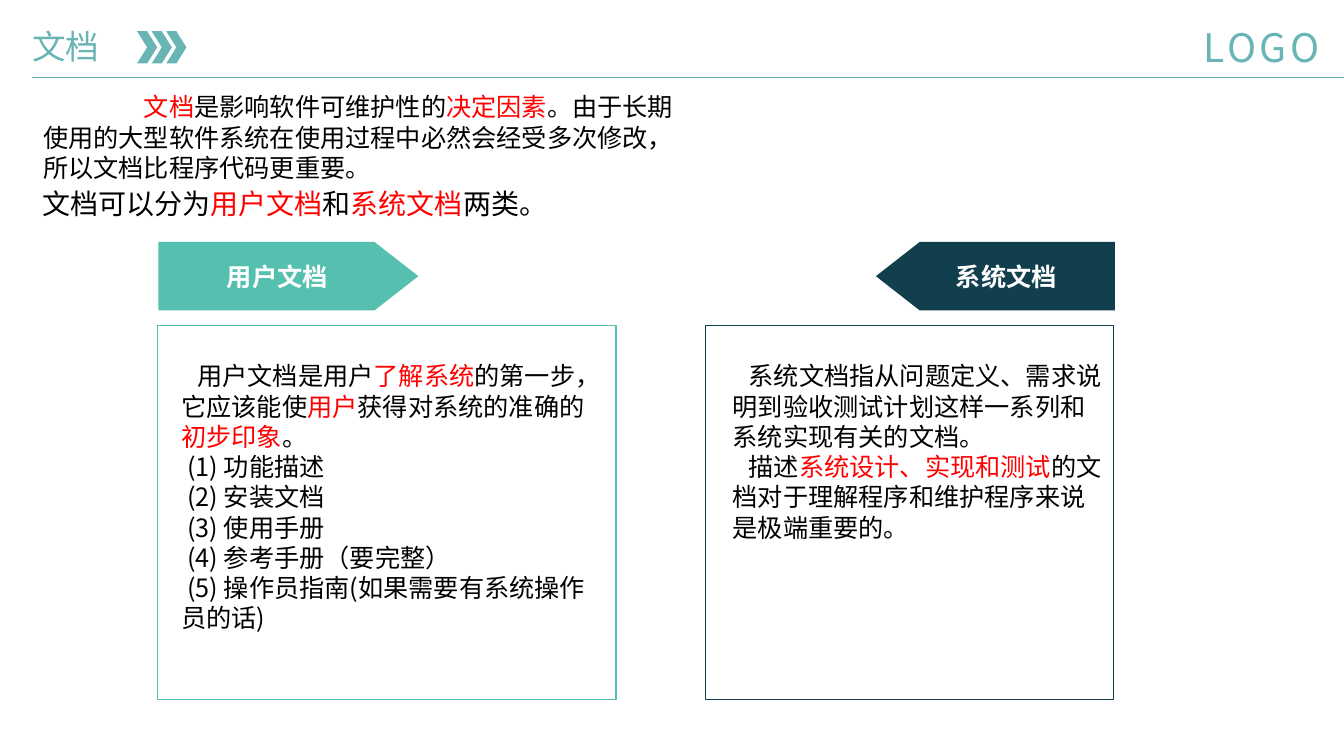
from dataclasses import dataclass

import lxml.etree
import pptx
import pptx.dml.color
import pptx.enum.shapes
import pptx.enum.text
import pptx.oxml.ns
import pptx.shapes.autoshape
import pptx.slide
import pptx.text.text
import pptx.util

RGBColor = pptx.dml.color.RGBColor
Shapes = pptx.enum.shapes.MSO_SHAPE
Anchor = pptx.enum.text.MSO_ANCHOR
Align = pptx.enum.text.PP_ALIGN

TEAL = RGBColor(0x69, 0xB4, 0xB4)
MINT = RGBColor(0x55, 0xC0, 0xAF)
NAVY = RGBColor(0x11, 0x3F, 0x4E)
RED = RGBColor(0xFF, 0x00, 0x00)
BLACK = RGBColor(0x00, 0x00, 0x00)
WHITE = RGBColor(0xFF, 0xFF, 0xFF)
FONT = "Noto Sans CJK SC"

COLUMNS, ROWS = 160, 90
CELL = pptx.util.Inches(7.5) / ROWS
TAG_TOP, TAG_HEIGHT = 28.8, 8.16
CARD_TOP, CARD_HEIGHT = 38.76, 44.52
BODY_TOP, BODY_HEIGHT = 42.36, 34
CHEVRON_LEFT, CHEVRON_STEP, CHEVRON_COUNT = 16.32, 1.74, 3


@dataclass(frozen=True)
class Area:
    """A place on the grid, in columns and rows."""
    left: float
    top: float
    width: float
    height: float


@dataclass(frozen=True)
class Line:
    """One paragraph; parts between bars are highlighted in red."""
    text: str
    indent: float = 0


@dataclass(frozen=True)
class Card:
    name: str
    color: RGBColor
    left: float
    width: float
    tag_left: float
    tag_width: float
    points_left: bool
    body_left: float
    body_width: float
    lines: tuple[Line, ...]


CARDS = (
    Card("用户文档", MINT, 18.72, 54.6, 18.84, 30.96, False, 20.4, 52.92, (
        Line("用户文档是用户|了解系统|的第一步，它应该能使|用户|获得对系统的准确的|初步印象|。", 1.92),
        Line("(1) 功能描述", 0.7),
        Line("(2) 安装文档", 0.7),
        Line("(3) 使用手册", 0.7),
        Line("(4) 参考手册（要完整）", 0.7),
        Line("(5) 操作员指南(如果需要有系统操作员的话)", 0.7),
    )),
    Card("系统文档", NAVY, 84, 48.6, 104.28, 28.44, True, 86.04, 46.68, (
        Line("系统文档指从问题定义、需求说明到验收测试计划这样一系列和系统实现有关的文档。", 1.92),
        Line("描述|系统设计、实现和测试|的文档对于理解程序和维护程序来说是极端重要的。", 1.92),
    )),
)
INTRO = (Line(
    "|文档|是影响软件可维护性的|决定因素|。由于长期使用的大型软件系统在使用过程中"
    "必然会经受多次修改，所以文档比程序代码更重要。", 12),)
CATEGORIES = (Line("文档可以分为|用户文档|和|系统文档|两类。"),)


def grid(cells: float) -> int:
    return round(cells * CELL)


def bounds(area: Area) -> tuple[int, int, int, int]:
    return grid(area.left), grid(area.top), grid(area.width), grid(area.height)


def set_all(target: object, values: dict[str, object]) -> None:
    for name, value in values.items():
        setattr(target, name, value)


def add_span(para: pptx.text.text._Paragraph, text: str, size: float, color: RGBColor,
             bold: bool = False, spacing: float = 0) -> None:
    span = para.add_run()
    span.text = text
    set_all(span.font, {"size": pptx.util.Pt(size), "bold": bold, "name": FONT})
    span.font.color.rgb = color
    properties = span.font._element
    if spacing:
        properties.set("spc", str(round(spacing * 100)))
    east_asian = lxml.etree.SubElement(properties, pptx.oxml.ns.qn("a:ea"))
    east_asian.set("typeface", FONT)


def add_text(page: pptx.slide.Slide, area: Area, lines: tuple[Line, ...], size: float) -> None:
    frame = page.shapes.add_textbox(*bounds(area)).text_frame
    frame.word_wrap = True
    for number, line in enumerate(lines):
        para = frame.add_paragraph() if number else frame.paragraphs[0]
        properties = para._p.get_or_add_pPr()
        properties.set("marL", "0")
        properties.set("indent", str(grid(line.indent)))
        for index, part in enumerate(line.text.split("|")):
            if part:
                add_span(para, part, size, RED if index % 2 else BLACK)


def add_filled(page: pptx.slide.Slide, kind: Shapes, area: Area,
               color: RGBColor) -> pptx.shapes.autoshape.Shape:
    shape = page.shapes.add_shape(kind, *bounds(area))
    shape.shadow.inherit = False
    shape.fill.solid()
    shape.fill.fore_color.rgb = color
    shape.line.fill.background()
    return shape


def add_card(page: pptx.slide.Slide, card: Card) -> None:
    area = Area(card.left, CARD_TOP, card.width, CARD_HEIGHT)
    box = page.shapes.add_shape(Shapes.RECTANGLE, *bounds(area))
    box.shadow.inherit = False
    box.fill.background()
    box.line.color.rgb = card.color
    box.line.width = pptx.util.Pt(1)

    area = Area(card.tag_left, TAG_TOP, card.tag_width, TAG_HEIGHT)
    tag = add_filled(page, Shapes.PENTAGON, area, card.color)
    tag.adjustments[0] = 0.64
    if card.points_left:
        tag._element.spPr.find(pptx.oxml.ns.qn("a:xfrm")).set("flipH", "1")
    set_all(tag.text_frame, {"word_wrap": False, "vertical_anchor": Anchor.MIDDLE})
    para = tag.text_frame.paragraphs[0]
    para.alignment = Align.CENTER
    add_span(para, card.name, 18, WHITE, bold=True)

    add_text(page, Area(card.body_left, BODY_TOP, card.body_width, BODY_HEIGHT), card.lines, 18)


def add_header(page: pptx.slide.Slide) -> None:
    rule = page.shapes.add_connector(
        pptx.enum.shapes.MSO_CONNECTOR.STRAIGHT,
        grid(3.84), grid(9.24), grid(COLUMNS), grid(9.24))
    rule.line.color.rgb = TEAL
    rule.line.width = pptx.util.Pt(0.5)
    lxml.etree.SubElement(rule._element.spPr, pptx.oxml.ns.qn("a:effectLst"))

    title = page.shapes.title
    set_all(title, dict(zip(("left", "top", "width", "height"),
                            bounds(Area(3.84, 3.12, 33.72, 4.8)))))
    set_all(title.text_frame, {
        "margin_left": 0, "margin_top": 0, "margin_right": 0, "margin_bottom": 0,
        "word_wrap": True, "vertical_anchor": Anchor.MIDDLE,
        "auto_size": pptx.enum.text.MSO_AUTO_SIZE.NONE})
    para = title.text_frame.paragraphs[0]
    set_all(para, {"alignment": Align.LEFT, "space_before": pptx.util.Pt(0)})
    add_span(para, "文档", 24, TEAL)

    for number in range(CHEVRON_COUNT):
        left = CHEVRON_LEFT + number * CHEVRON_STEP
        add_filled(page, Shapes.CHEVRON, Area(left, 3.72, 2.4, 3.84), TEAL)

    frame = page.shapes.add_textbox(*bounds(Area(142.32, 2.28, 17.04, 5.6 + 1))).text_frame
    set_all(frame, {"word_wrap": False, "vertical_anchor": Anchor.MIDDLE,
                    "margin_left": grid(1), "margin_right": grid(1)})
    add_span(frame.paragraphs[0], "LOGO", 28, TEAL, spacing=2.5)


def main() -> None:
    deck = pptx.Presentation()
    set_all(deck, {"slide_width": grid(COLUMNS), "slide_height": grid(ROWS)})
    page = deck.slides.add_slide(deck.slide_layouts.get_by_name("Title Only"))
    add_header(page)
    for card in CARDS:
        add_card(page, card)
    add_text(page, Area(3.96, 10.32, 79.92, 12.12), INTRO, 18)
    add_text(page, Area(3.84, 21.6, 80.64, 5.28), CATEGORIES, 20)
    deck.save("out.pptx")


if __name__ == "__main__":
    main()
